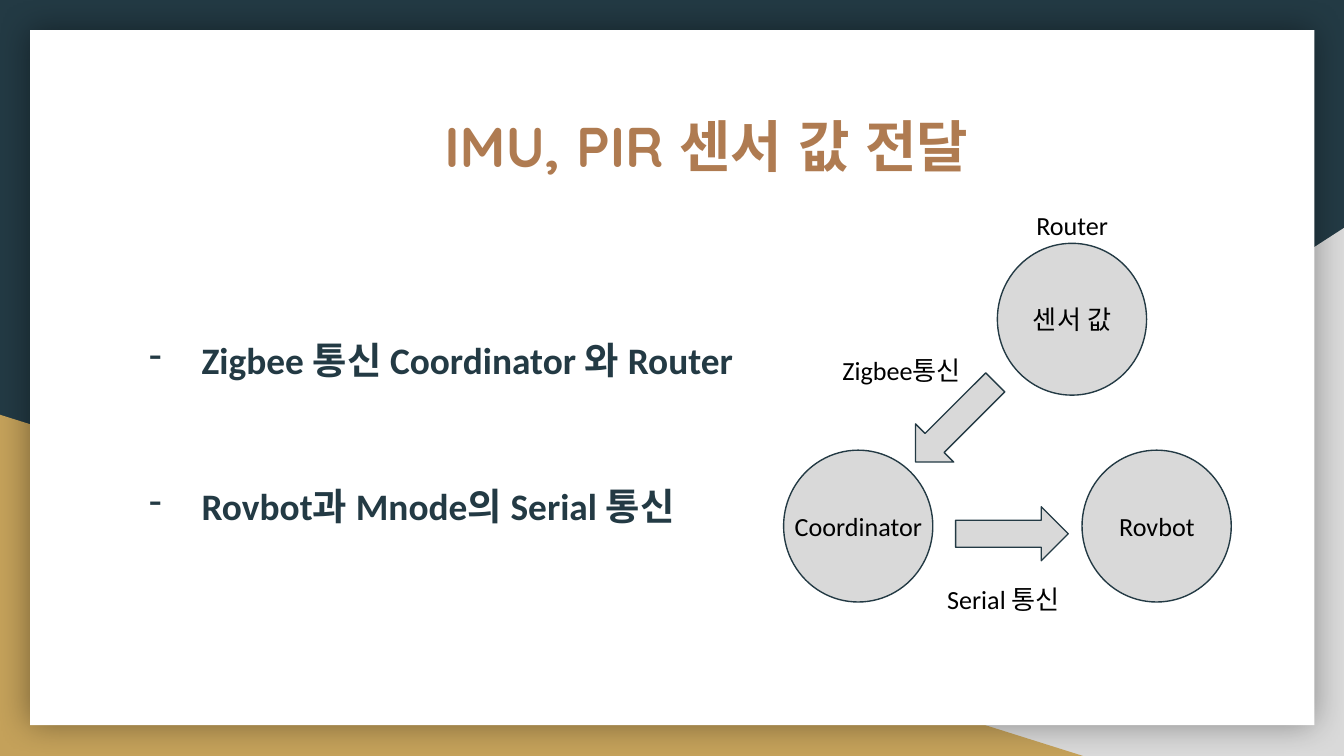
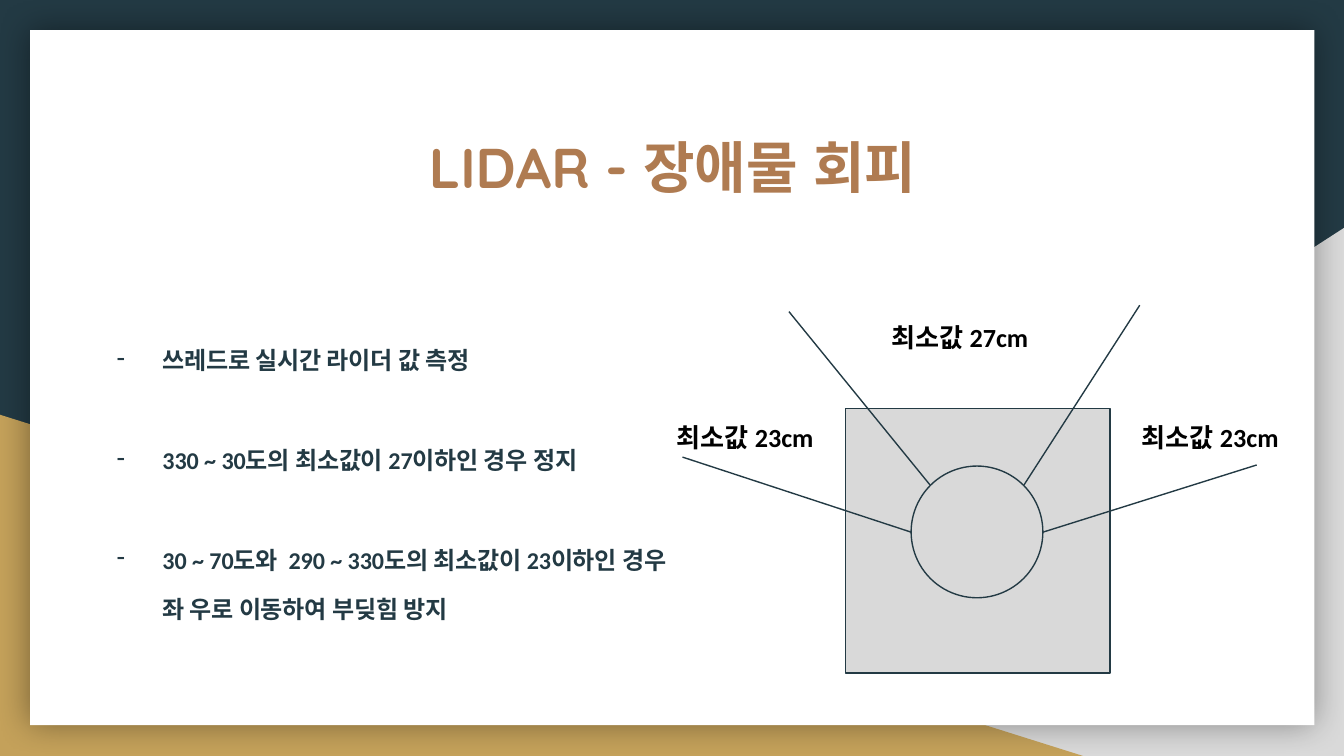
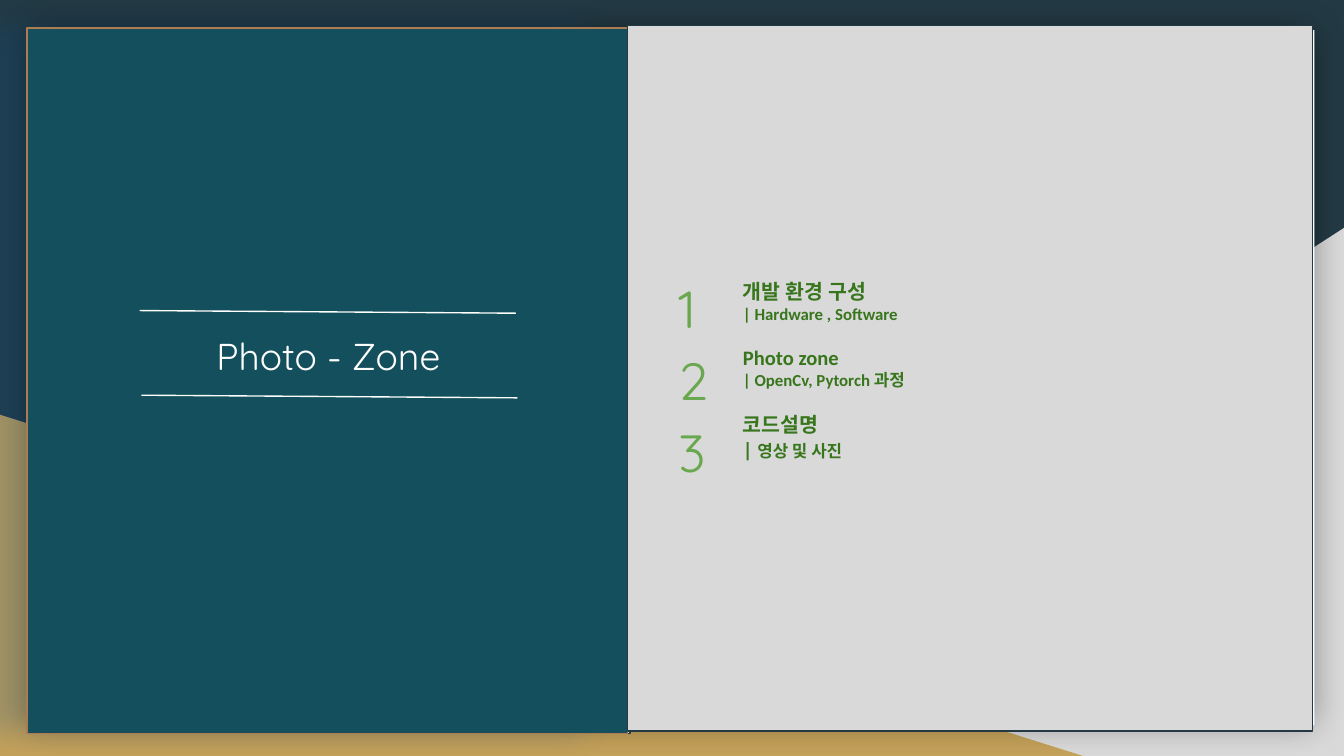
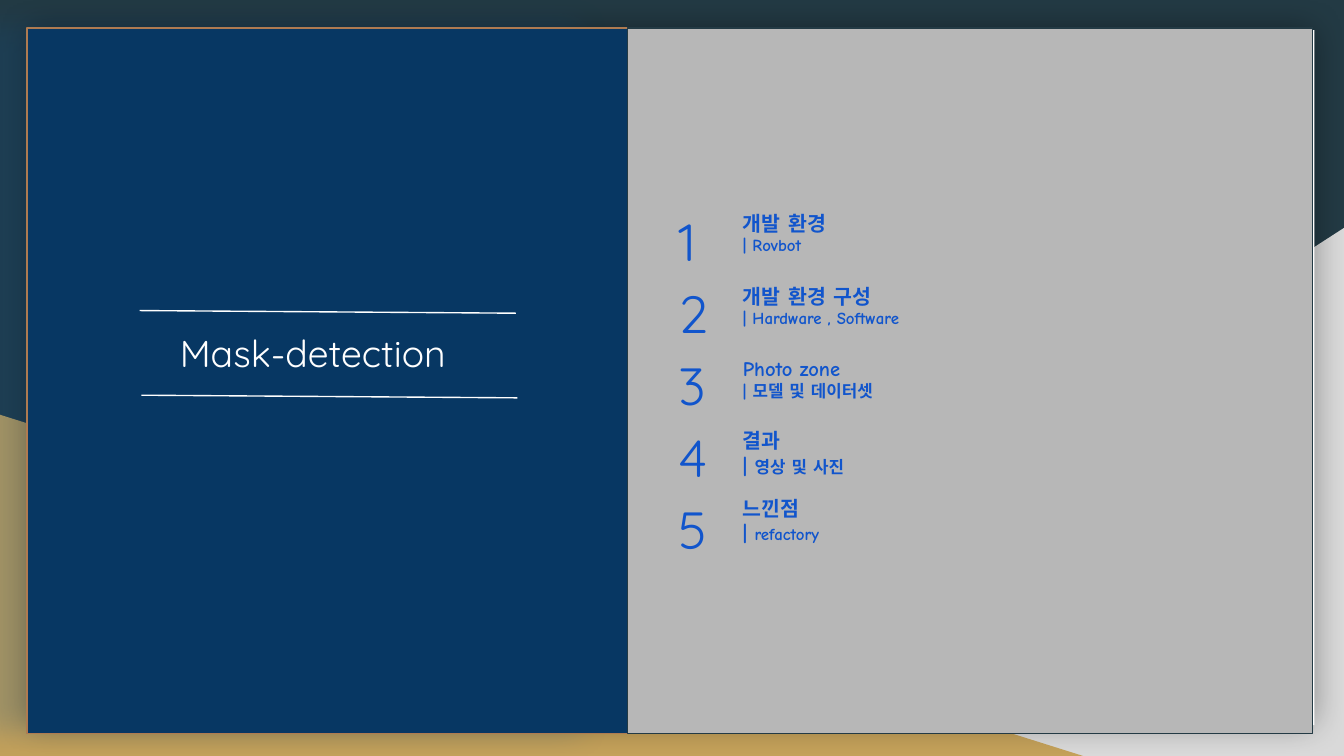
from dataclasses import dataclass

from lxml import etree
from pptx import Presentation
from pptx.dml.color import RGBColor
from pptx.enum import shapes, text
from pptx.oxml import ns
from pptx.util import Cm, Pt

SHAPE = shapes.MSO_SHAPE
ALIGN = text.PP_ALIGN


@dataclass(frozen=True)
class Theme:
    """Colours, fonts and type sizes shared by the slides."""
    navy: str = "233A44"
    gold: str = "C4A15A"
    grey: str = "D9D9D9"
    mid_grey: str = "B7B7B7"
    bronze: str = "AF7B51"
    white: str = "FFFFFF"
    black: str = "000000"
    teal: str = "134F5C"
    deep_blue: str = "073763"
    glow: str = "0B5394"
    light_green: str = "6AA84F"
    dark_green: str = "38761D"
    blue: str = "1155CC"
    heading_font: str = "Quicksand"
    body_font: str = "Calibri"
    comic_font: str = "Comic Neue"
    title: float = 30
    section: float = 20
    number: float = 28
    large_body: float = 20
    small_body: float = 12.9
    label: float = 14
    entry: float = 11
    note: float = 9
    line: float = 0.75


THEME = Theme()


@dataclass(frozen=True)
class Box:
    """A rectangle in centimetres."""
    left: float
    top: float
    width: float
    height: float

    def inner(self, left, top, width, height):
        """Return a box placed relative to this one."""
        return Box(self.left + left, self.top + top, width, height)

    def lengths(self):
        """Return the four sides as slide lengths."""
        return [Cm(value) for value in (self.left, self.top, self.width, self.height)]


PAGE = Box(0, 0, 25.4, 14.29)


def rgb(colour):
    """Turn a hex string into a colour."""
    return RGBColor.from_string(colour)


def add_child(parent, tag, **attributes):
    """Append a drawing element with attributes."""
    child = etree.SubElement(parent, ns.qn(tag))
    for name, value in attributes.items():
        child.set(name, str(value))
    return child


def add_figure(slide, kind, box, fill, line=None):
    """Add a filled preset shape without a shadow."""
    shape = slide.shapes.add_shape(kind, *box.lengths())
    shape.shadow.inherit = False
    shape.fill.solid()
    shape.fill.fore_color.rgb = rgb(fill)
    if line:
        shape.line.color.rgb = rgb(line)
        shape.line.width = Pt(THEME.line)
    else:
        shape.line.fill.background()
    return shape


def cast_shadow(shape, colour, opacity, blur, distance=0, direction=0):
    """Give a shape an outer shadow, in points, degrees and percent."""
    effects = shape._element.spPr.find(ns.qn("a:effectLst"))
    shadow = add_child(effects, "a:outerShdw", blurRad=Pt(blur), dist=Pt(distance),
                       dir=direction * 60000, algn="bl", rotWithShape=0)
    tint = add_child(shadow, "a:srgbClr", val=colour)
    add_child(tint, "a:alpha", val=opacity * 1000)


def add_line(slide, box, start, end, colour):
    """Draw a straight line between two points relative to a box."""
    points = [Cm(value) for value in (box.left + start[0], box.top + start[1],
                                      box.left + end[0], box.top + end[1])]
    line = slide.shapes.add_connector(shapes.MSO_CONNECTOR.STRAIGHT, *points)
    line.line.color.rgb = rgb(colour)
    line.line.width = Pt(THEME.line)
    add_child(line._element.spPr, "a:effectLst")


def style(paragraph, size, colour, font, bold=False):
    """Set the font of a whole paragraph, for Latin and Korean alike."""
    paragraph.font.size = Pt(size)
    paragraph.font.bold = bold
    paragraph.font.color.rgb = rgb(colour)
    paragraph.font.name = font
    properties = paragraph._p.get_or_add_pPr().find(ns.qn("a:defRPr"))
    add_child(properties, "a:ea", typeface=font)


def add_text(slide, box, lines, size, colour, font, bold=False, align=ALIGN.LEFT):
    """Add a text box and return its paragraphs."""
    frame = slide.shapes.add_textbox(*box.lengths()).text_frame
    frame.word_wrap = True
    frame.margin_left = frame.margin_right = Cm(0.25)
    frame.margin_top = frame.margin_bottom = Cm(0.25)
    for index, line in enumerate(lines):
        paragraph = frame.add_paragraph() if index else frame.paragraphs[0]
        paragraph.text = line
        paragraph.alignment = align
        style(paragraph, size, colour, font, bold)
    return frame.paragraphs


def add_label(slide, box, wording, bold=False, align=ALIGN.CENTER):
    """Add a one-line diagram label."""
    add_text(slide, box, [wording], THEME.label, THEME.black, THEME.body_font, bold, align)


def add_bullets(slide, box, items, size, hanging, spacing):
    """Add dashed items, each a tuple of line, space before and dash flag."""
    paragraphs = add_text(slide, box, [item[0] for item in items], size,
                          THEME.navy, THEME.body_font, True)
    for paragraph, (line, before, dashed) in zip(paragraphs, items):
        properties = paragraph._p.get_or_add_pPr()
        properties.set("marL", str(Cm(1.27)))
        if dashed:
            properties.set("indent", str(-Cm(hanging)))
            font = properties.find(ns.qn("a:defRPr"))
            colour = etree.Element(ns.qn("a:buClr"))
            add_child(colour, "a:srgbClr", val=THEME.navy)
            dash = etree.Element(ns.qn("a:buChar"), char="-")
            font.addprevious(colour)
            font.addprevious(dash)
        paragraph.line_spacing = spacing
        if before:
            paragraph.space_before = Pt(before)


def add_backdrop(presentation):
    """Add a slide with the dark ground, two wedges and the white card."""
    slide = presentation.slides.add_slide(presentation.slide_layouts[6])
    slide.background.fill.solid()
    slide.background.fill.fore_color.rgb = rgb(THEME.navy)
    wedge = add_figure(slide, SHAPE.RIGHT_TRIANGLE, PAGE.inner(9.96, 4.31, 15.44, 9.98), THEME.grey)
    wedge._element.spPr.xfrm.set("flipH", "1")
    add_figure(slide, SHAPE.RIGHT_TRIANGLE, PAGE.inner(0, 7.84, 20.47, 6.45), THEME.gold)
    card = add_figure(slide, SHAPE.RECTANGLE, PAGE.inner(0.57, 0.57, 24.27, 13.14), THEME.white)
    cast_shadow(card, THEME.black, 40, 18)
    return slide


def add_title(slide, box, wording, indent=0):
    """Add the centred slide title."""
    paragraph = add_text(slide, box, [wording], THEME.title, THEME.bronze,
                         THEME.heading_font, True, ALIGN.CENTER)[0]
    paragraph.line_spacing = 0.95
    paragraph._p.get_or_add_pPr().set("indent", str(Cm(indent)))


def draw_network(slide, box):
    """Draw the three nodes, the arrows between them and their labels."""
    nodes = [("센서 값", 4.04, 0.9), ("Coordinator", 0, 4.81), ("Rovbot", 5.64, 4.81)]
    for wording, left, top in nodes:
        node = box.inner(left, top, 2.82, 2.87)
        add_figure(slide, SHAPE.OVAL, node, THEME.grey, THEME.navy)
        add_label(slide, node.inner(-0.06, 0.89, 2.95, 1.12), wording)
    for left, top, rotation in [(3.25, 5.88, 0), (2.18, 3.77, 135)]:
        arrow = add_figure(slide, SHAPE.RIGHT_ARROW, box.inner(left, top, 2.13, 1.02),
                           THEME.grey, THEME.navy)
        arrow.rotation = rotation
    add_label(slide, box.inner(3.98, 0, 2.95, 1.12), "Router")
    for wording, left, top in [("Zigbee통신", 0.86, 2.75), ("Serial 통신", 2.84, 7.07)]:
        add_label(slide, box.inner(left, top, 2.95, 1.12), wording, align=ALIGN.LEFT)


def draw_lidar(slide, box):
    """Draw the robot body, its sensor and the limits of the scan sectors."""
    add_figure(slide, SHAPE.RECTANGLE, box.inner(3.79, 1.95, 5, 5), THEME.grey, THEME.navy)
    add_figure(slide, SHAPE.OVAL, box.inner(5.03, 3.04, 2.49, 2.49), THEME.grey, THEME.navy)
    rays = [((5.39, 3.4), (2.72, 0.12)), ((7.16, 3.4), (9.35, 0)),
            ((5.03, 4.29), (0.71, 2.87)), ((7.52, 4.29), (11.56, 3.02))]
    for start, end in rays:
        add_line(slide, box, start, end, THEME.navy)
    labels = [("최소값 27cm", 4.4, 0.05, ALIGN.LEFT), ("최소값 23cm", 0, 1.95, ALIGN.CENTER),
              ("최소값 23cm", 8.79, 1.95, ALIGN.CENTER)]
    for wording, left, top, align in labels:
        add_label(slide, box.inner(left, top, 3.78, 1.12), wording, True, align)


def draw_section_panel(slide, box, wording, title_place, fill):
    """Draw the coloured panel with its title between two rules."""
    add_figure(slide, SHAPE.RECTANGLE, box.inner(0.05, 0, box.width, box.height),
               THEME.grey, THEME.navy)
    panel = add_figure(slide, SHAPE.RECTANGLE, box, fill, THEME.bronze)
    cast_shadow(panel, THEME.glow, 20, 15.8, 26.2, 183)
    add_text(slide, box.inner(*title_place, 11.05, 1.5), [wording], THEME.section,
             THEME.white, THEME.heading_font)
    for shift, drop in [(0, 0), (0.03, 1.6)]:
        add_line(slide, box, (2.13 + shift, 5.34 + drop), (9.24 + shift, 5.39 + drop), THEME.white)


def draw_agenda(slide, box, fill, number_colour, entry_colour, font, first_top, entries):
    """Draw the agenda panel; entries hold offset, heading, bar size and note."""
    add_figure(slide, SHAPE.RECTANGLE, box, fill, THEME.navy)
    column = box.inner(0.71, first_top, 10.77, 1.37 * len(entries) + 0.36)
    numbers = [str(index + 1) for index in range(len(entries))]
    for paragraph in add_text(slide, column, numbers, THEME.number, number_colour,
                              THEME.heading_font):
        paragraph.line_spacing = 1.15
    for offset, heading, bar_size, note in entries:
        paragraphs = add_text(slide, column.inner(1.22, offset, 6.83, 1.4), [heading, "| "],
                              THEME.entry, entry_colour, font, True)
        paragraphs[1].font.size = Pt(THEME.note)
        paragraphs[1].runs[0].font.size = Pt(bar_size)
        paragraphs[1].add_run().text = note


def build_sensor_slide(presentation):
    """Build the slide on passing on sensor values."""
    slide = add_backdrop(presentation)
    add_title(slide, PAGE.inner(2.29, 1.96, 20.85, 2.64), "IMU, PIR 센서 값 전달", 1.27)
    items = [("Zigbee 통신 Coordinator 와 Router", 0, True),
             ("Rovbot과 Mnode의 Serial 통신", 51, True)]
    add_bullets(slide, PAGE.inner(2.29, 5.99, 20.85, 6.81), items, THEME.large_body, 0.99, 1.15)
    draw_network(slide, PAGE.inner(14.81, 3.7, 8.46, 8.2))


def build_lidar_slide(presentation):
    """Build the slide on avoiding obstacles."""
    slide = add_backdrop(presentation)
    add_title(slide, PAGE.inner(2.29, 2.34, 20.85, 2.64), "LIDAR - 장애물 회피")
    items = [("쓰레드로 실시간 라이더 값 측정", 0, True),
             ("330 ~ 30도의 최소값이 27이하인 경우 정지", 38.8, True),
             ("30 ~ 70도와  290 ~ 330도의 최소값이 23이하인 경우", 38.8, True),
             ("좌 우로 이동하여 부딪힘 방지", 12, False)]
    add_bullets(slide, PAGE.inner(1.55, 6.32, 20.85, 6.81), items, THEME.small_body, 0.86, 0.95)
    draw_lidar(slide, PAGE.inner(12.19, 5.77, 12.57, 6.95))


def build_section_slide(presentation, wording, title_place, fill, agenda_top, agenda):
    """Build a section slide with a title panel and an agenda panel."""
    slide = add_backdrop(presentation)
    draw_section_panel(slide, PAGE.inner(0.51, 0.53, 11.35, 13.34), wording, title_place, fill)
    draw_agenda(slide, PAGE.inner(11.86, agenda_top, 12.95, 13.34), **agenda)


def main():
    """Build the presentation and save it."""
    presentation = Presentation()
    presentation.slide_width = Cm(PAGE.width)
    presentation.slide_height = Cm(PAGE.height)
    build_sensor_slide(presentation)
    build_lidar_slide(presentation)
    photo_agenda = dict(
        fill=THEME.grey, number_colour=THEME.light_green, entry_colour=THEME.dark_green,
        font=THEME.body_font, first_top=4.32,
        entries=[(0.23, "개발 환경 구성", THEME.note, "Hardware , Software"),
                 (1.47, "Photo zone", THEME.note, "OpenCv, Pytorch 과정"),
                 (2.74, "코드설명", THEME.entry, "영상 및 사진")])
    build_section_slide(presentation, "Photo - Zone", (3.33, 5.52), THEME.teal, 0.48, photo_agenda)
    mask_agenda = dict(
        fill=THEME.mid_grey, number_colour=THEME.blue, entry_colour=THEME.blue,
        font=THEME.comic_font, first_top=3,
        entries=[(0.2, "개발 환경", THEME.note, "Rovbot"),
                 (1.58, "개발 환경 구성", THEME.note, "Hardware , Software"),
                 (2.95, "Photo zone", THEME.note, "모델 및 데이터셋"),
                 (4.32, "결과", THEME.entry, "영상 및 사진"),
                 (5.59, "느낀점", THEME.entry, "refactory")])
    build_section_slide(presentation, "Mask-detection", (2.64, 5.46), THEME.deep_blue, 0.53,
                        mask_agenda)
    presentation.save("out.pptx")


if __name__ == "__main__":
    main()
